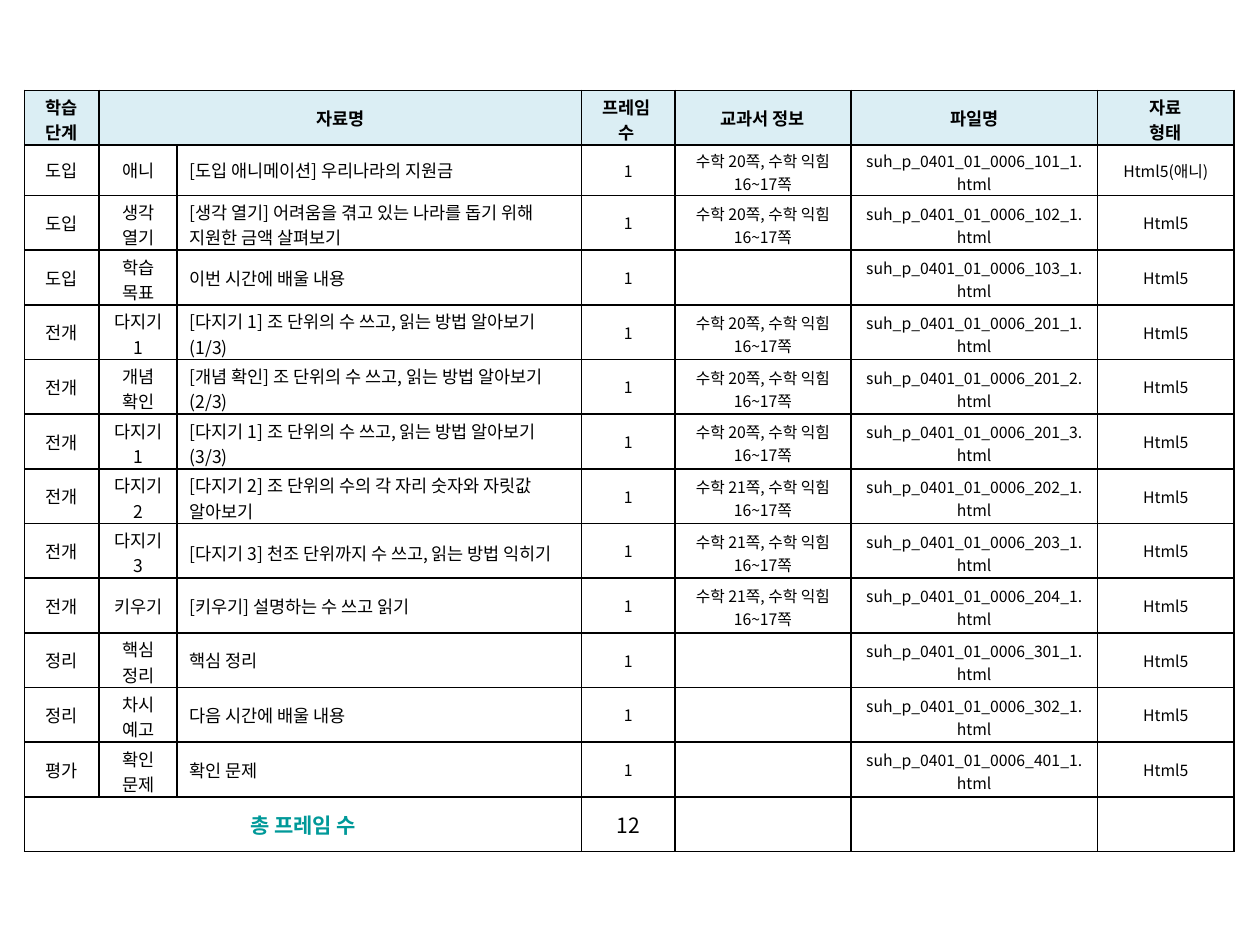
import pptx
import pptx.dml.color
import pptx.enum.text
import pptx.oxml.ns
import pptx.util
from lxml import etree

Pt = pptx.util.Pt
RGBColor = pptx.dml.color.RGBColor
qn = pptx.oxml.ns.qn
PP_ALIGN = pptx.enum.text.PP_ALIGN

BLACK = RGBColor(0x00, 0x00, 0x00)
TEAL = RGBColor(0x00, 0x99, 0x99)
HEADER_BLUE = RGBColor(0xDB, 0xEE, 0xF4)
FONT = "Noto Sans CJK KR"
LINE_SPACING = 1.46

COLUMN_WIDTHS = [42.6, 44.6, 231.1, 53.3, 100.6, 140.9, 78.1]
ROW_HEIGHT = 31.25
FIRST_LESSON_HEIGHT = 28.9
ACTIVITY, TITLE, FRAMES, PAGES, FILE = range(1, 6)
BODY_SIZES = [10, 10, 10, 9, 9, 9, 9]

HEADER = ["학습 단계", "자료명", "", "프레임 수", "교과서 정보", "파일명", "자료\n형태"]
HEADER_LINES = [2, 1, 1, 2, 1, 1, 2]
PAGE_20 = "수학 20쪽, 수학 익힘 16~17쪽"
PAGE_21 = "수학 21쪽, 수학 익힘 16~17쪽"

# Stage, activity, title, textbook pages, file code
LESSONS = [
    ("도입", "애니", "[도입 애니메이션] 우리나라의 지원금", PAGE_20, "101_1"),
    ("도입", "생각 열기", "[생각 열기] 어려움을 겪고 있는 나라를 돕기 위해 지원한 금액 살펴보기",
     PAGE_20, "102_1"),
    ("도입", "학습 목표", "이번 시간에 배울 내용", "", "103_1"),
    ("전개", "다지기 1", "[다지기 1] 조 단위의 수 쓰고, 읽는 방법 알아보기 (1/3)", PAGE_20, "201_1"),
    ("전개", "개념 확인", "[개념 확인] 조 단위의 수 쓰고, 읽는 방법 알아보기 (2/3)", PAGE_20, "201_2"),
    ("전개", "다지기 1", "[다지기 1] 조 단위의 수 쓰고, 읽는 방법 알아보기 (3/3)", PAGE_20, "201_3"),
    ("전개", "다지기 2", "[다지기 2] 조 단위의 수의 각 자리 숫자와 자릿값 알아보기", PAGE_21, "202_1"),
    ("전개", "다지기 3", "[다지기 3] 천조 단위까지 수 쓰고, 읽는 방법 익히기", PAGE_21, "203_1"),
    ("전개", "키우기", "[키우기] 설명하는 수 쓰고 읽기", PAGE_21, "204_1"),
    ("정리", "핵심 정리", "핵심 정리", "", "301_1"),
    ("정리", "차시 예고", "다음 시간에 배울 내용", "", "302_1"),
    ("평가", "확인 문제", "확인 문제", "", "401_1"),
]


def set_borders(cell):
    properties = cell._tc.get_or_add_tcPr()
    for position, side in enumerate(("lnL", "lnR", "lnT", "lnB")):
        line = etree.Element(qn(f"a:{side}"), w=str(Pt(1)))
        fill = etree.SubElement(line, qn("a:solidFill"))
        etree.SubElement(fill, qn("a:srgbClr"), val=str(BLACK))
        properties.insert(position, line)


def body_lines(column, text):
    """Number of lines a lesson's text takes in its column."""
    wraps = (column in (PAGES, FILE) and text
             or column == ACTIVITY and " " in text
             or column == TITLE and len(text) > 25)
    return 2 if wraps else 1


def set_margins(cell, size, lines, row_height):
    """Keep the text inside the row, with wrapped text near the top."""
    top = bottom = 3.6
    if lines > 1:
        slack = row_height - lines * size * LINE_SPACING
        top, bottom = min(top, slack), max(0, slack - top)
    cell.margin_left = cell.margin_right = Pt(7.2)
    cell.margin_top, cell.margin_bottom = Pt(top), Pt(bottom)


def fill_cell(cell, text, size, color=BLACK, bold=False, align=PP_ALIGN.CENTER,
              fill=None, lines=1, row_height=ROW_HEIGHT):
    cell.vertical_anchor = pptx.enum.text.MSO_ANCHOR.MIDDLE
    set_margins(cell, size, lines, row_height)
    if fill is None:
        cell.fill.background()
    else:
        cell.fill.solid()
        cell.fill.fore_color.rgb = fill
    set_borders(cell)
    frame = cell.text_frame
    for index, words in enumerate(text.split("\n")):
        paragraph = frame.add_paragraph() if index else frame.paragraphs[0]
        paragraph.alignment = align
        run = paragraph.add_run()
        run.text = words
        font = run.font
        font.size, font.bold, font.name = Pt(size), bold, FONT
        font.color.rgb = color
        etree.SubElement(run._r.get_or_add_rPr(), qn("a:ea"), typeface=FONT)


def add_lesson_table(slide, left, top, width, height):
    row_count = len(LESSONS) + 2
    table = slide.shapes.add_table(
        row_count, len(COLUMN_WIDTHS), Pt(left), Pt(top), Pt(width), Pt(height)).table
    table.first_row = table.horz_banding = False
    for column, column_width in zip(table.columns, COLUMN_WIDTHS):
        column.width = Pt(column_width)
    row_heights = [ROW_HEIGHT] * row_count
    row_heights[1] = FIRST_LESSON_HEIGHT
    for row, row_height in zip(table.rows, row_heights):
        row.height = Pt(row_height)

    for column, (text, lines) in enumerate(zip(HEADER, HEADER_LINES)):
        fill_cell(table.cell(0, column), text, 10, bold=True, fill=HEADER_BLUE, lines=lines)
    table.cell(0, FRAMES).margin_right = Pt(9)
    table.cell(0, ACTIVITY).merge(table.cell(0, TITLE))

    for row, (stage, activity, title, pages, code) in enumerate(LESSONS, 1):
        file_name = f"suh_p_0401_01_0006_{code}.html"
        file_type = "Html5(애니)" if activity == "애니" else "Html5"
        values = [stage, activity, title, "1", pages, file_name, file_type]
        for column, (text, size) in enumerate(zip(values, BODY_SIZES)):
            align = PP_ALIGN.LEFT if column == TITLE else PP_ALIGN.CENTER
            fill_cell(table.cell(row, column), text, size, align=align,
                      lines=body_lines(column, text), row_height=row_heights[row])
        table.cell(row, TITLE).margin_right = Pt(9)

    total = row_count - 1
    fill_cell(table.cell(total, 0), "총 프레임 수", 12, TEAL, bold=True)
    for column in range(1, len(COLUMN_WIDTHS)):
        text = str(len(LESSONS)) if column == FRAMES else ""
        fill_cell(table.cell(total, column), text, 12)
    table.cell(total, 0).merge(table.cell(total, TITLE))


def main():
    presentation = pptx.Presentation()
    presentation.slide_width, presentation.slide_height = Pt(720), Pt(540)
    slide = presentation.slides.add_slide(presentation.slide_layouts[6])
    add_lesson_table(slide, 14.1, 51.6, 691.2, 435.15)
    presentation.save("out.pptx")


if __name__ == "__main__":
    main()
